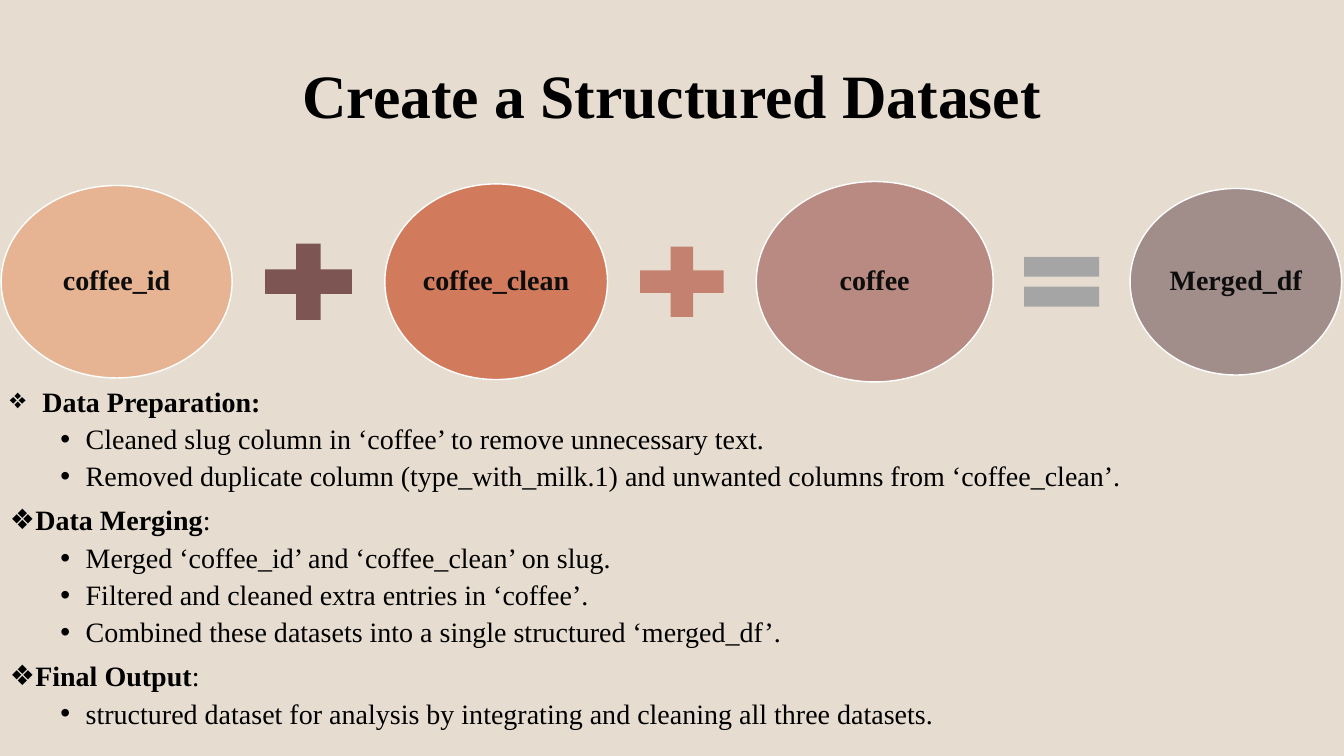
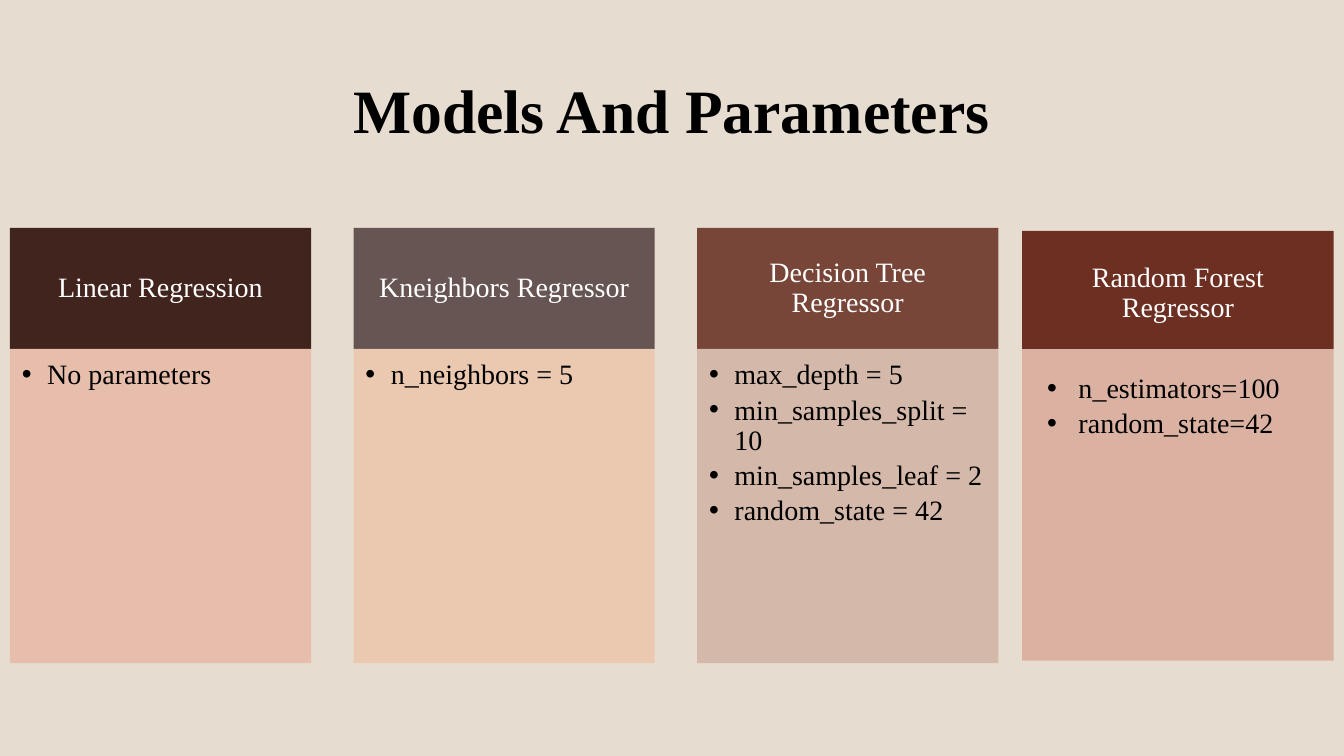
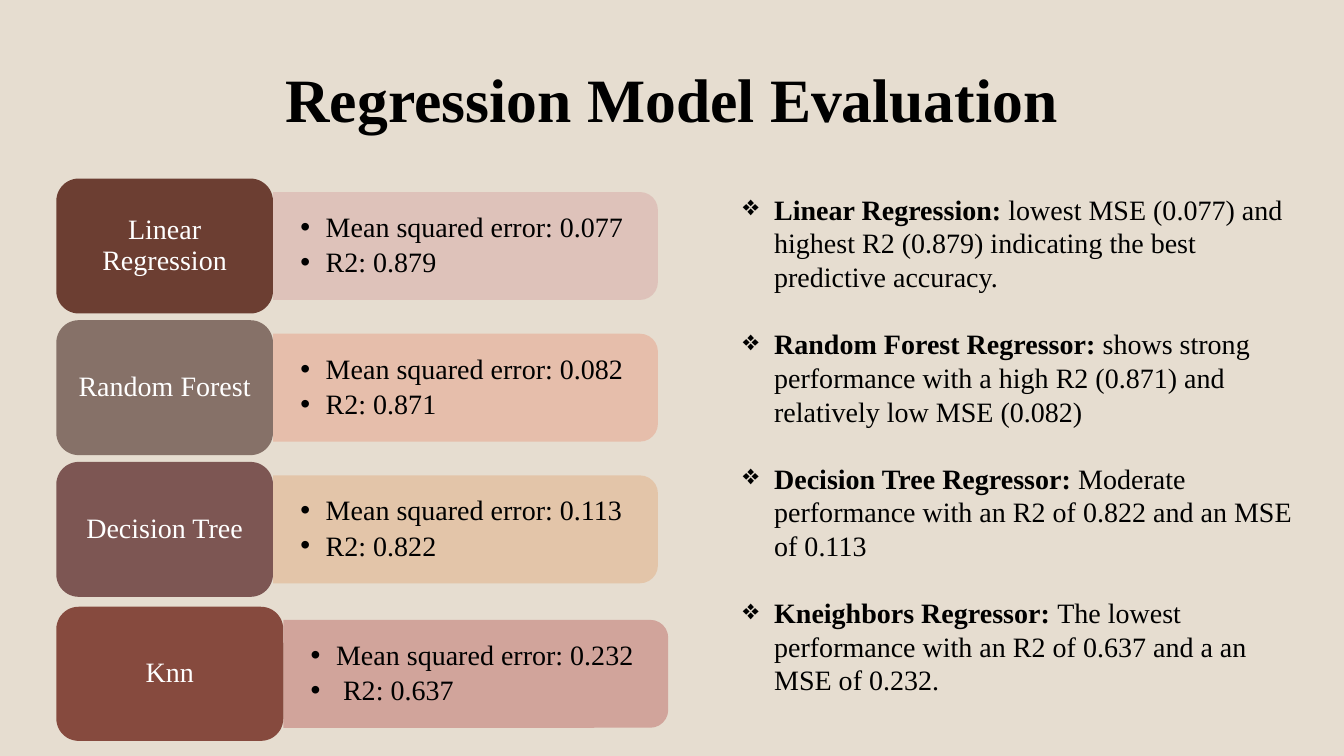
from lxml import etree
from pptx import Presentation
from pptx.dml.color import RGBColor
from pptx.enum.shapes import MSO_SHAPE
from pptx.enum.text import MSO_ANCHOR, PP_ALIGN
from pptx.oxml.ns import qn
from pptx.util import Cm, Pt

# Shared style
FONT = "Times New Roman"
BACKGROUND = RGBColor(0xE6, 0xDD, 0xD0)
BLACK = RGBColor(0x00, 0x00, 0x00)
NEAR_BLACK = RGBColor(0x0D, 0x0D, 0x0D)
WHITE = RGBColor(0xFF, 0xFF, 0xFF)

APRICOT = RGBColor(0xE6, 0xB4, 0x92)
TERRACOTTA = RGBColor(0xD1, 0x7B, 0x5C)
ROSE = RGBColor(0xB9, 0x8A, 0x82)
TAUPE = RGBColor(0xA1, 0x8E, 0x8B)
PLUM = RGBColor(0x7D, 0x56, 0x53)
CORAL = RGBColor(0xC4, 0x81, 0x70)
GREY = RGBColor(0xA5, 0xA5, 0xA5)
ESPRESSO = RGBColor(0x42, 0x24, 0x1E)
SLATE = RGBColor(0x66, 0x55, 0x52)
CHESTNUT = RGBColor(0x78, 0x46, 0x38)
MAROON = RGBColor(0x6D, 0x2F, 0x21)
PEACH = RGBColor(0xE7, 0xBB, 0xA7)
CREAM = RGBColor(0xEC, 0xC7, 0xAE)
SAND = RGBColor(0xD3, 0xB4, 0xA5)
BLUSH = RGBColor(0xDB, 0xB2, 0xA1)
COCOA = RGBColor(0x6C, 0x3E, 0x32)
MOCHA = RGBColor(0x86, 0x71, 0x68)
BRICK = RGBColor(0x86, 0x4A, 0x3E)
PINK = RGBColor(0xDE, 0xC0, 0xB8)
WHEAT = RGBColor(0xE3, 0xC3, 0xA5)
DUSTY_PINK = RGBColor(0xD1, 0xA4, 0x9B)

RECT = MSO_SHAPE.RECTANGLE
OVAL = MSO_SHAPE.OVAL
PLUS = MSO_SHAPE.MATH_PLUS
EQUAL = MSO_SHAPE.MATH_EQUAL
ROUNDED = MSO_SHAPE.ROUNDED_RECTANGLE
ROUND_TOP = MSO_SHAPE.ROUND_2_SAME_RECTANGLE
TOP, MIDDLE = MSO_ANCHOR.TOP, MSO_ANCHOR.MIDDLE
LEFT, CENTER = PP_ALIGN.LEFT, PP_ALIGN.CENTER
DOT, DIAMOND = "•", "❖"


def add_box(slide, kind, x, y, w, h, fill, line=None, opacity=100):
    sp = slide.shapes.add_shape(kind, Cm(x), Cm(y), Cm(w), Cm(h))
    sp.shadow.inherit = False
    sp.fill.solid()
    sp.fill.fore_color.rgb = fill
    if opacity < 100:
        color = sp.fill._xPr.find(qn("a:solidFill"))[0]
        etree.SubElement(color, qn("a:alpha"), val=str(opacity * 1000))
    if line is None:
        sp.line.fill.background()
    else:
        sp.line.color.rgb = line
        sp.line.width = Pt(1)
    return sp


def set_frame(sp, anchor, insets):
    tf = sp.text_frame
    tf.word_wrap = True
    tf.vertical_anchor = anchor
    tf.margin_left, tf.margin_top, tf.margin_right, tf.margin_bottom = map(Cm, insets)
    return tf


def add_text(slide, x, y, w, h, anchor=TOP, insets=(0.25, 0.13, 0.25, 0.13)):
    sp = slide.shapes.add_textbox(Cm(x), Cm(y), Cm(w), Cm(h))
    return set_frame(sp, anchor, insets)


def add_par(tf, runs, size=20, color=BLACK, align=LEFT, spacing=0.9,
            before=0, after=0, bullet=None, left=0.0, hang=0.64):
    """Add a paragraph of (text, bold) runs, using the empty first one if any."""
    p = tf.paragraphs[0]
    if p.runs:
        p = tf.add_paragraph()
    p.alignment, p.line_spacing = align, spacing
    p.space_before, p.space_after = Pt(before), Pt(after)
    if bullet:
        pPr = p._p.get_or_add_pPr()
        pPr.set("marL", str(Cm(left + hang)))
        pPr.set("indent", str(-Cm(hang)))
        if bullet == DOT:
            etree.SubElement(pPr, qn("a:buFont"), typeface="Arial")
        etree.SubElement(pPr, qn("a:buChar"), char=bullet)
    for text, bold in runs:
        r = p.add_run()
        r.text = text
        r.font.name, r.font.size, r.font.bold = FONT, Pt(size), bold
        r.font.color.rgb = color


def add_label(sp, text, insets, color=WHITE, bold=False):
    tf = set_frame(sp, MIDDLE, insets)
    add_par(tf, [(text, bold)], color=color, align=CENTER)


def add_dots(tf, items, hang=0.64):
    for item in items:
        add_par(tf, [(item, False)], after=3.5, bullet=DOT, hang=hang)


def add_titled_slide(prs, title, y, h):
    slide = prs.slides.add_slide(prs.slide_layouts[6])
    tf = add_text(slide, 2.33, y, 29.21, h, MIDDLE)
    add_par(tf, [(title, True)], size=44, align=CENTER)
    return slide


# Slide 1: equation of datasets and outline
def add_equation(slide, x, middle, gap, parts):
    for kind, w, h, fill, name in parts:
        line = WHITE if name else None
        sp = add_box(slide, kind, x, middle - h / 2, w, h, fill, line)
        if name:
            add_label(sp, name, (0.05,) * 4, NEAR_BLACK, True)
        x += w + gap


def add_outline(slide, x, y, w, h, sections):
    tf = add_text(slide, x, y, w, h)
    for heading, items in sections:
        add_par(tf, heading, before=10, bullet=DIAMOND)
        for item in items:
            add_par(tf, [(item, False)], before=5, bullet=DOT, left=1.27)


def build_dataset_slide(prs):
    slide = add_titled_slide(prs, "Create a Structured Dataset", 1.02, 2.95)
    add_outline(slide, 0, 9.65, 33.87, 9.4, [
        ([(" ", False), ("Data Preparation:", True)], [
            "Cleaned slug column in ‘coffee’ to remove unnecessary text.",
            "Removed duplicate column (type_with_milk.1) and unwanted columns"
            " from ‘coffee_clean’."]),
        ([("Data Merging", True), (":", False)], [
            "Merged ‘coffee_id’ and ‘coffee_clean’ on slug.",
            "Filtered and cleaned extra entries in ‘coffee’.",
            "Combined these datasets into a single structured ‘merged_df’."]),
        ([("Final Output", True), (":", False)], [
            "structured dataset for analysis by integrating and cleaning"
            " all three datasets."]),
    ])
    add_equation(slide, 0.03, 7.1, 0.44, [
        (OVAL, 5.82, 4.85, APRICOT, "coffee_id"),
        (PLUS, 2.97, 2.62, PLUM, None),
        (OVAL, 5.61, 4.93, TERRACOTTA, "coffee_clean"),
        (PLUS, 2.87, 2.41, CORAL, None),
        (OVAL, 5.97, 5.05, ROSE, "coffee"),
        (EQUAL, 2.57, 2.13, GREY, None),
        (OVAL, 5.33, 4.7, TAUPE, "Merged_df"),
    ])


# Slide 2: one card per model
def add_card(slide, x, y, w, head_h, body_h, name, params, head_fill, body_fill,
             opacity=90, head_insets=(0.41, 0.23, 0.41, 0.23),
             body_insets=(0.3, 0.3, 0.35, 0.43), hang=0.64):
    head = add_box(slide, RECT, x, y, w, head_h, head_fill)
    add_label(head, name, head_insets)
    body = add_box(slide, RECT, x, y + head_h, w, body_h, body_fill, opacity=opacity)
    add_dots(set_frame(body, TOP, body_insets), params, hang)


def build_models_slide(prs):
    slide = add_titled_slide(prs, "Models And Parameters", 1.02, 3.68)
    cards = [
        ("Linear Regression", ["No parameters"], ESPRESSO, PEACH),
        ("Kneighbors Regressor", ["n_neighbors = 5"], SLATE, CREAM),
        ("Decision Tree Regressor",
         ["max_depth = 5", "min_samples_split = 10",
          "min_samples_leaf = 2", "random_state = 42"], CHESTNUT, SAND),
    ]
    for i, card in enumerate(cards):
        add_card(slide, 0.25 + i * 8.66, 5.74, 7.59, 3.05, 7.92, *card)
    add_card(slide, 25.76, 5.82, 7.85, 2.98, 7.85, "Random Forest Regressor",
             ["n_estimators=100", "random_state=42"], MAROON, BLUSH, opacity=100,
             head_insets=(0.84, 0.63, 0.84, 0.48),
             body_insets=(0.63, 0.63, 0.84, 0.97), hang=0.79)


# Slide 3: scores and findings
def add_score(slide, x, y, w, h, name, scores, label_fill, panel_fill, opacity=90):
    panel_w, panel_h = 9.7, 2.72
    panel_y = y + (h - panel_h) / 2
    shift = (panel_w - panel_h) / 2
    panel = add_box(slide, ROUND_TOP, x + w + shift, panel_y - shift,
                    panel_h, panel_w, panel_fill, opacity=opacity)
    panel.rotation = 90
    tf = add_text(slide, x + w, panel_y, panel_w, panel_h, MIDDLE,
                  (0.69, 0.36, 0.69, 0.36))
    add_dots(tf, scores)
    label = add_box(slide, ROUNDED, x, y, w, h, label_fill)
    add_label(label, name, (0.2, 0.1, 0.2, 0.1))


def add_findings(slide, x, y, w, h, findings):
    tf = add_text(slide, x, y, w, h, MIDDLE)
    for i, (model, finding) in enumerate(findings):
        add_par(tf, [(model, True), (finding, False)], spacing=1.0,
                before=24 if i else 0, bullet=DIAMOND, hang=0.79)


def build_evaluation_slide(prs):
    slide = add_titled_slide(prs, "Regression Model Evaluation", 0.74, 3.68)
    rows = [
        ("Linear Regression", ["Mean squared error: 0.077", "R2: 0.879"], COCOA, PINK),
        ("Random Forest", ["Mean squared error: 0.082", "R2: 0.871"], MOCHA, PEACH),
        ("Decision Tree", ["Mean squared error: 0.113", "R2: 0.822"], PLUM, WHEAT),
    ]
    for i, row in enumerate(rows):
        add_score(slide, 1.42, 4.5 + i * 3.57, 5.46, 3.4, *row)
    add_score(slide, 1.42, 15.29, 5.72, 3.38, "Knn",
              ["Mean squared error: 0.232", " R2: 0.637"], BRICK, DUSTY_PINK, 100)
    add_findings(slide, 18.47, 4.95, 14.61, 12.5, [
        ("Linear Regression:", " lowest MSE (0.077) and highest R2 (0.879)"
         " indicating the best predictive accuracy."),
        ("Random Forest Regressor:", " shows strong performance with a high"
         " R2 (0.871) and relatively low MSE (0.082)"),
        ("Decision Tree Regressor: ",
         "Moderate performance with an R2 of 0.822 and an MSE of 0.113"),
        ("Kneighbors Regressor: ",
         "The lowest performance with an R2 of 0.637 and a an MSE of 0.232."),
    ])


def main():
    prs = Presentation()
    prs.slide_width, prs.slide_height = Cm(33.87), Cm(19.05)
    fill = prs.slide_master.background.fill
    fill.solid()
    fill.fore_color.rgb = BACKGROUND
    build_dataset_slide(prs)
    build_models_slide(prs)
    build_evaluation_slide(prs)
    prs.save("out.pptx")


if __name__ == "__main__":
    main()
